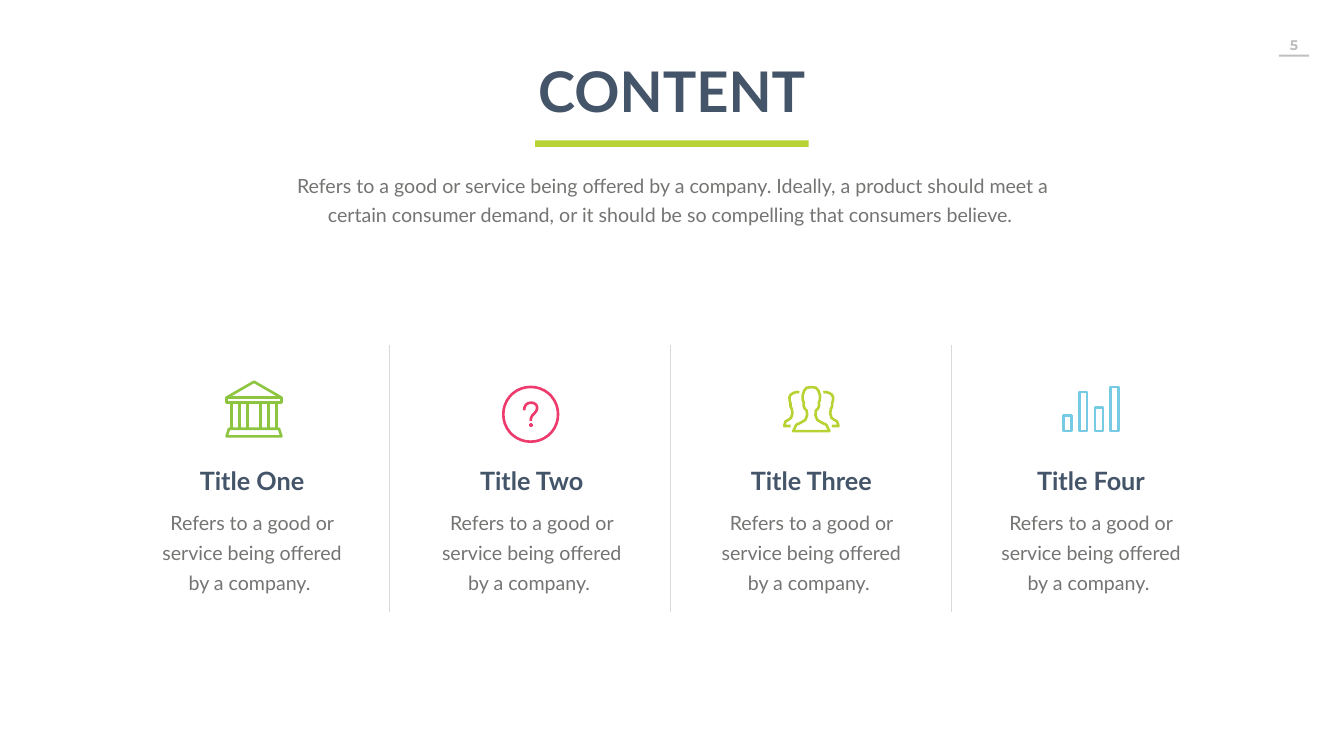
"""Build a content slide with four titled icon columns."""
from dataclasses import dataclass
from math import cos, radians, sin

from lxml import etree
from pptx import Presentation
from pptx.dml.color import RGBColor
from pptx.enum.shapes import MSO_CONNECTOR, MSO_SHAPE
from pptx.enum.text import PP_ALIGN
from pptx.oxml.ns import qn
from pptx.util import Cm, Pt

CENTER = PP_ALIGN.CENTER
RECT = MSO_SHAPE.RECTANGLE
STRAIGHT = MSO_CONNECTOR.STRAIGHT


@dataclass(frozen=True)
class Theme:
    font: str = "Lato"
    number_font: str = "Montserrat"
    heading: str = "445469"
    body: str = "737572"
    muted: str = "BFBFBF"
    divider: str = "D9D9D9"
    lime: str = "B7D333"
    green: str = "8DC540"
    pink: str = "EE3B6D"
    blue: str = "76CAE3"
    title_size: int = 80
    column_size: int = 36
    body_size: int = 28
    number_size: int = 20
    stroke: float = 3.75


T = Theme()


def add_text(s, text, box, size, color, bold=False, font=T.font, spacing=None, inset=(0.25, 0.13)):
    tb = s.shapes.add_textbox(*[Cm(v) for v in box])
    tf = tb.text_frame
    tf.word_wrap = True
    tf.margin_left = tf.margin_right = Cm(inset[0])
    tf.margin_top = tf.margin_bottom = Cm(inset[1])
    p = tf.paragraphs[0]
    p.text = text
    p.alignment = CENTER
    if spacing:
        p.line_spacing = Pt(spacing)
    f = p.runs[0].font
    f.name, f.size, f.bold = font, Pt(size), bold
    f.color.rgb = RGBColor.from_string(color)


def add_icon(s, x, y, color, closed, opened=()):
    fb = s.shapes.build_freeform(*closed[0][0], scale=Cm(0.01))
    for contours, close in ((closed, True), (opened, False)):
        for points in contours:
            if points is not closed[0]:
                fb.move_to(*points[0])
            fb.add_line_segments(points[1:], close=close)
    sp = fb.convert_to_shape(Cm(x), Cm(y))
    sp.shadow.inherit = False
    sp.fill.background()
    sp.line.color.rgb = RGBColor.from_string(color)
    sp.line.width = Pt(T.stroke)


prs = Presentation()
prs.slide_width, prs.slide_height = Cm(67.72), Cm(38.1)
s = prs.slides.add_slide(prs.slide_layouts[6])

add_text(s, "5", (63.7, 1.57, 3, 1.37), T.number_size, T.muted, True, T.number_font, inset=(0.5, 0.25))
add_text(s, "CONTENT", (25.37, 2.74, 16.97, 3.66), T.title_size, T.heading, True)
add_text(
    s,
    "Refers to a good or service being offered by a company. Ideally, a product should meet a "
    "certain consumer demand, or it should be so compelling that consumers believe. ",
    (14.48, 8.4, 38.81, 3.12), T.body_size, T.body, spacing=40.7,
)

for box, color in (((64.44, 2.75, 1.52, 0.1), T.muted), ((26.97, 7.07, 13.77, 0.33), T.lime)):
    sp = s.shapes.add_shape(RECT, *[Cm(v) for v in box])
    sp.shadow.inherit = False
    sp.fill.solid()
    sp.fill.fore_color.rgb = RGBColor.from_string(color)
    sp.line.fill.background()

for i in range(3):
    x = Cm(19.63 + 14.16 * i)
    line = s.shapes.add_connector(STRAIGHT, x, Cm(17.4), x, Cm(30.86))
    line.line.color.rgb = RGBColor.from_string(T.divider)
    line.line.width = Pt(0.5)
    etree.SubElement(line._element.spPr, qn("a:effectLst"))

columns = ["Title One", "Title Two", "Title Three", "Title Four"]
centers = [12.7 + 14.09 * i for i in range(len(columns))]
for cx, title in zip(centers, columns):
    add_text(s, title, (cx - 5.25, 23.32, 10.5, 1.78), T.column_size, T.heading, True)
    add_text(s, "Refers to a good or service being offered by a company. ",
             (cx - 5.25, 25.1, 10.5, 5.16), T.body_size, T.body, spacing=43, inset=(0.61, 0.3))

icon_top = 19.18
bank_x, question_x, people_x, bars_x = 12.8, 26.74, 40.88, 54.97

roof = [(0, 6), (137, 85), (-137, 85)]
beam = [(-138, 85), (138, 85), (138, 110), (-138, 110)]
base = [(-126, 243), (126, 243), (138, 281), (-138, 281)]
pillars = [[(x, 110), (x, 243)] for x in (-113, -72, -33, 33, 72, 113)]
add_icon(s, bank_x, icon_top, T.green, [roof, beam, base], pillars)

ring = [(138 * cos(radians(a)), 170 + 138 * sin(radians(a))) for a in range(0, 360, 5)]
hook = [(-33, 150), (-31, 135), (-24, 122), (-13, 114), (2, 111), (17, 114), (28, 122),
        (33, 136), (30, 150), (20, 164), (8, 176), (2, 188), (0, 203)]
dot = [(-1, 220), (4, 220), (4, 229), (-1, 229)]
add_icon(s, question_x, icon_top, T.pink, [ring, dot], [hook])

half = [(0, 33), (23, 36), (36, 51), (44, 76), (43, 99), (38, 110), (39, 127), (34, 140),
        (23, 152), (21, 175), (30, 198), (51, 211), (76, 223), (91, 255)]
side = [(61, 60), (71, 57), (89, 62), (104, 71), (110, 84), (109, 102), (105, 114), (105, 130),
        (99, 142), (95, 165), (102, 188), (114, 197), (130, 206), (137, 229), (104, 229)]
person = half + [(-x, y) for x, y in reversed(half[1:])]
add_icon(s, people_x, icon_top, T.lime, [person], [side, [(-x, y) for x, y in side]])

bars = []
for i, top in enumerate((177, 57, 136, 32)):
    left = -137 + 79 * i
    bars.append([(left, top), (left + 39, top), (left + 39, 255), (left, 255)])
add_icon(s, bars_x, icon_top, T.blue, bars)

prs.save("out.pptx")
